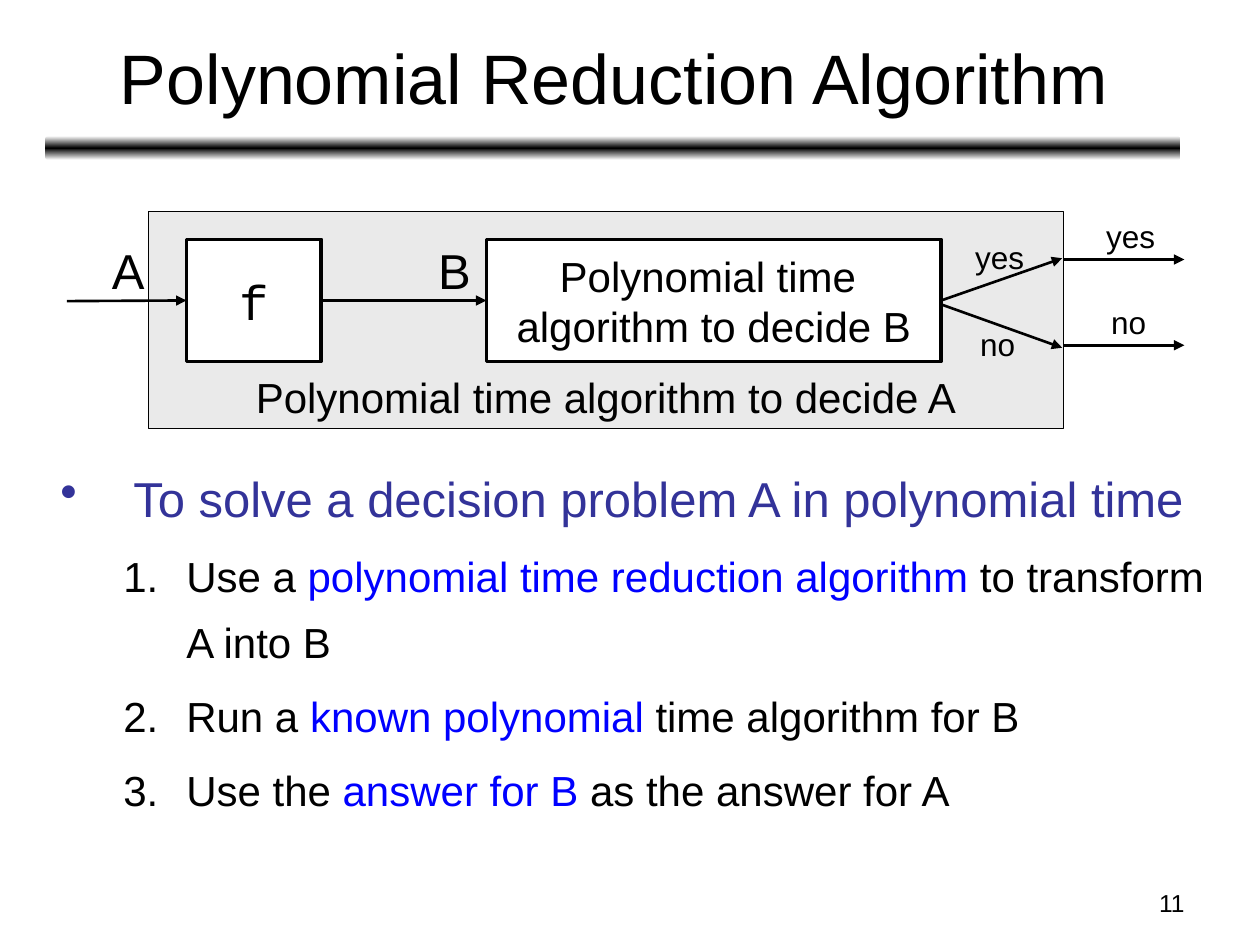
from lxml.etree import SubElement
from pptx import Presentation
from pptx.dml.color import RGBColor
from pptx.enum.shapes import MSO_CONNECTOR, MSO_SHAPE
from pptx.enum.text import MSO_ANCHOR, PP_ALIGN
from pptx.oxml.ns import qn
from pptx.util import Inches, Pt

COLORS = {
    "black": "000000",
    "white": "FFFFFF",
    "panel": "EAEAEA",
    "heading": "333399",
    "accent": "0000FF",
}


def rgb(name):
    return RGBColor.from_string(COLORS[name])


class SlideBuilder:
    def __init__(self, slide, font="Arial"):
        self.slide = slide
        self.font = font

    def style(self, run, size, color="black", font=None):
        run.font.size = Pt(size)
        run.font.name = font or self.font
        run.font.color.rgb = rgb(color)

    def set_text(self, frame, text, size, align, anchor, wrap, font=None):
        frame.text = text
        frame.word_wrap = wrap
        frame.vertical_anchor = anchor
        for paragraph in frame.paragraphs:
            paragraph.alignment = align
            for run in paragraph.runs:
                self.style(run, size, font=font)

    def label(self, place, text, size, align=PP_ALIGN.LEFT, anchor=MSO_ANCHOR.TOP, wrap=False):
        box = self.slide.shapes.add_textbox(*map(Inches, place))
        self.set_text(box.text_frame, text, size, align, anchor, wrap)

    def box(self, place, text, size, fill, border, anchor=MSO_ANCHOR.MIDDLE, font=None):
        box = self.slide.shapes.add_shape(MSO_SHAPE.RECTANGLE, *map(Inches, place))
        box.shadow.inherit = False
        box.fill.solid()
        box.fill.fore_color.rgb = rgb(fill)
        box.line.color.rgb = rgb("black")
        box.line.width = Pt(border)
        self.set_text(box.text_frame, text, size, PP_ALIGN.CENTER, anchor, False, font)
        return box

    def gradient_bar(self, place, stops):
        bar = self.slide.shapes.add_shape(MSO_SHAPE.ROUNDED_RECTANGLE, *map(Inches, place))
        bar.shadow.inherit = False
        bar.line.fill.background()
        bar.fill.gradient()
        bar.fill.gradient_angle = 90
        stop_list = bar._element.spPr.find(".//" + qn("a:gsLst"))
        stop_list.clear()
        for percent, color in stops:
            stop = SubElement(stop_list, qn("a:gs"), pos=str(percent * 1000))
            SubElement(stop, qn("a:srgbClr"), val=COLORS[color])

    def arrow(self, start, end, source=None, target=None):
        arrow = self.slide.shapes.add_connector(
            MSO_CONNECTOR.STRAIGHT, *map(Inches, (*start, *end)))
        if source:
            arrow.begin_connect(source, 3)
        if target:
            arrow.end_connect(target, 1)
        arrow.line.color.rgb = rgb("black")
        arrow.line.width = Pt(1.5)
        properties = arrow._element.spPr
        SubElement(properties.find(qn("a:ln")), qn("a:tailEnd"), type="triangle")
        SubElement(properties, qn("a:effectLst"))

    def list_item(self, paragraph, parts, size, level, margin, hanging, bullet, gap):
        paragraph.level = level
        paragraph.line_spacing = 1.3
        paragraph.space_before = Pt(gap)
        properties = paragraph._p.get_or_add_pPr()
        properties.set("marL", str(Inches(margin)))
        properties.set("indent", str(-Inches(hanging)))
        tag, attributes = bullet
        SubElement(properties, qn(tag), **attributes)
        for text, color in parts:
            run = paragraph.add_run()
            run.text = text
            self.style(run, size, color)

    def outline(self, place, heading, steps):
        frame = self.slide.shapes.add_textbox(*map(Inches, place)).text_frame
        frame.word_wrap = True
        self.list_item(frame.paragraphs[0], [(heading, "heading")], 28, 0,
                       0.58, 0.58, ("a:buChar", {"char": "•"}), 0)
        for before, key_phrase, after in steps:
            parts = [(before, "black"), (key_phrase, "accent"), (after, "black")]
            self.list_item(frame.add_paragraph(), parts, 24, 1,
                           1, 0.5, ("a:buAutoNum", {"type": "arabicPeriod"}), 4.8)


def main():
    presentation = Presentation()
    presentation.slide_width = Inches(10)
    presentation.slide_height = Inches(7.5)
    builder = SlideBuilder(presentation.slides.add_slide(presentation.slide_layouts[6]))

    builder.gradient_bar((0.36, 1.08, 9.01, 0.19),
                         [(0, "white"), (50, "black"), (100, "white")])
    builder.label((7.17, 7, 2.33, 0.35), "11", 14, PP_ALIGN.RIGHT, wrap=True)
    builder.label((0.37, 0.11, 9, 0.99), "Polynomial Reduction Algorithm", 40,
                  PP_ALIGN.CENTER, MSO_ANCHOR.MIDDLE, True)

    builder.box((1.18, 1.68, 7.26, 1.72), "Polynomial time algorithm to decide A",
                24, "panel", 0.75, MSO_ANCHOR.BOTTOM)
    reduction = builder.box((1.48, 1.9, 1.07, 0.97), "f", 28, "white", 2, font="Courier New")
    decider = builder.box((3.86, 1.9, 3.61, 0.97),
                          "Polynomial time \nalgorithm to decide B", 24, "white", 2)

    builder.arrow((0.53, 2.39), (1.48, 2.39), target=reduction)
    builder.arrow((2.55, 2.39), (3.86, 2.39), reduction, decider)
    builder.arrow((7.47, 2.39), (8.43, 2.05), decider)
    builder.arrow((7.48, 2.42), (8.43, 2.76))
    for y in (2.06, 2.74):
        builder.arrow((8.44, y), (9.4, y))

    for left, problem in ((0.79, "A"), (3.38, "B")):
        builder.label((left, 1.86, 0.46, 0.57), problem, 28)
    for left, top in ((7.64, 1.84), (8.68, 1.67)):
        builder.label((left, top, 0.59, 0.4), "yes", 18)
        builder.label((left + 0.04, top + 0.69, 0.48, 0.4), "no", 18)

    builder.outline(
        (0.38, 3.53, 9.29, 3.35),
        "To solve a decision problem A in polynomial time",
        [
            ("Use a ", "polynomial time reduction algorithm", " to transform A into B"),
            ("Run a ", "known polynomial", " time algorithm for B"),
            ("Use the ", "answer for B", " as the answer for A"),
        ],
    )
    presentation.save("out.pptx")


if __name__ == "__main__":
    main()
